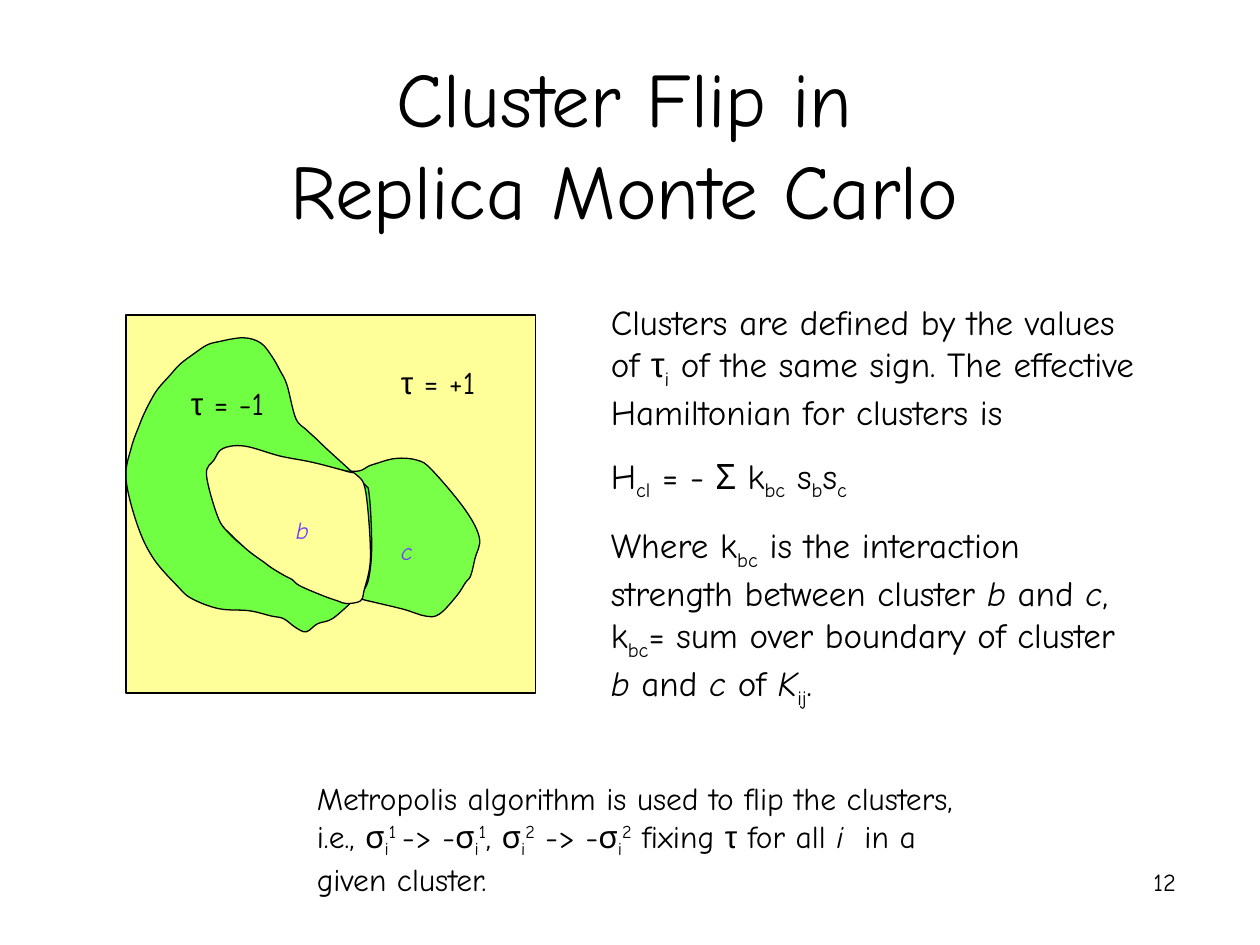
from dataclasses import dataclass

from pptx import Presentation
from pptx import util as u
from pptx.dml.color import RGBColor
from pptx.enum import shapes, text
from pptx.oxml.ns import qn
from lxml import etree

Pt = u.Pt


@dataclass(frozen=True)
class Theme:
    font: str = "Comic Neue"
    greek: str = "Arial"
    ink: str = "000000"
    pale: str = "FFFF99"
    green: str = "00FF00"
    violet: str = "703DFF"
    title: float = 44
    body: float = 20
    note: float = 18
    label: float = 24
    small: float = 14
    line: float = 0.75


T = Theme()

# Outline points of the clusters, in points
CLUSTER_C = [
    (119, 273), (132.5, 306.7), (183, 336), (205, 342), (230, 348),
    (243, 352), (251, 351), (261, 340.5), (266, 333), (269, 329),
    (271.5, 319), (274, 307.5), (266, 291.5), (247, 268.7), (238.5, 263),
    (226, 262), (212.4, 265.7), (201, 269.3), (169, 263), (139, 256),
    (127.5, 257), (124, 261.4), (120, 266.4)]
RING = [
    (124.6, 195.3), (118, 197.3), (111, 202), (103, 208), (97, 214.6),
    (90, 222.5), (85.7, 229.7), (83, 235), (80, 242), (75, 256),
    (72, 273.6), (78.5, 300), (87.6, 319), (101.5, 335), (109.5, 342),
    (125, 347.8), (142.5, 349), (155, 352), (162, 353.5), (169, 358.6),
    (175, 361), (181.5, 356.4), (190, 353.5), (201.6, 343.4), (208, 337),
    (211, 329), (212.4, 311.8), (211, 283), (207.4, 275.8), (186.5, 256.3),
    (181, 251), (175, 245.5), (169, 239), (164, 220), (160, 211.7),
    (155.5, 203.8), (149, 196), (139, 193)]
CLUSTER_B = [
    (127.4, 256.3), (122.4, 262.8), (118, 271.4), (125, 296.6), (132.5, 306),
    (137, 310.3), (141, 314), (145.5, 317.5), (150.5, 321), (155.5, 324.7),
    (162.7, 329), (167, 331.2), (171.4, 334.8), (185, 340.6), (193, 343.4),
    (198, 344.9), (206, 343.4), (208, 337.7), (211.7, 318.2), (209, 281),
    (203.8, 271.4), (198, 269.3), (178.6, 264.2), (160, 260.6), (139.7, 254.9)]


def paint(shape, fill, alpha=100):
    """Fill and outline a shape, with alpha in percent."""
    shape.shadow.inherit = False
    shape.fill.solid()
    shape.fill.fore_color.rgb = RGBColor.from_string(fill)
    shape.line.color.rgb = RGBColor.from_string(T.ink)
    shape.line.width = Pt(T.line)
    if alpha < 100:
        color = shape.fill._xPr.find(qn("a:solidFill"))[0]
        etree.SubElement(color, qn("a:alpha")).set("val", str(alpha * 1000))


def bend(shape, pts):
    """Turn the straight sides of a closed outline into smooth curves."""
    track = next(shape._element.iter(qn("a:path")))
    for side in track.findall(qn("a:lnTo")):
        track.remove(side)
    close = track.find(qn("a:close"))
    for i in range(len(pts)):
        a, b, c, d = (pts[(i + k) % len(pts)] for k in (-1, 0, 1, 2))
        curve = etree.Element(qn("a:cubicBezTo"))
        lead = [q + (r - p) / 6 for p, q, r in zip(a, b, c)]
        trail = [r - (w - q) / 6 for q, r, w in zip(b, c, d)]
        for x, y in (lead, trail, c):
            node = etree.SubElement(curve, qn("a:pt"))
            node.set("x", str(round(x - shape.left)))
            node.set("y", str(round(y - shape.top)))
        close.addprevious(curve)


def blob(slide, outline, fill, alpha=100):
    """Draw a closed smooth outline."""
    pts = [(Pt(x), Pt(y)) for x, y in outline]
    pen = slide.shapes.build_freeform(*pts[0])
    pen.add_line_segments(pts[1:], close=True)
    shape = pen.convert_to_shape()
    bend(shape, pts)
    paint(shape, fill, alpha)


def write(slide, box, *paras, size, color=T.ink, align="LEFT", anchor="TOP",
          gap=0, italic=False, base=0, grow=True):
    """Runs are split by |; they start with _ sub, ^ super, / italic, @ Greek."""
    frame = slide.shapes.add_textbox(*map(Pt, box)).text_frame
    frame.word_wrap = True
    if grow:
        frame.auto_size = text.MSO_AUTO_SIZE.SHAPE_TO_FIT_TEXT
    frame.vertical_anchor = getattr(text.MSO_ANCHOR, anchor)
    for i, line in enumerate(paras):
        para = frame.paragraphs[0] if i == 0 else frame.add_paragraph()
        para.alignment = getattr(text.PP_ALIGN, align)
        if i:
            para.space_before = Pt(gap)
        for j, part in enumerate(line.split("\n")):
            if j:
                para.add_line_break()
            for piece in part.split("|"):
                tag = piece[0] if piece[0] in "_^/@" else ""
                run = para.add_run()
                run.text = piece[len(tag):]
                font = run.font
                font.name = T.greek if tag == "@" else T.font
                font.size = Pt(size)
                font.italic = italic or tag == "/"
                font.color.rgb = RGBColor.from_string(color)
                shift = {"_": -25, "^": 30}.get(tag, base)
                if shift:
                    font._element.set("baseline", str(shift * 1000))


def main():
    deck = Presentation()
    deck.slide_width, deck.slide_height = Pt(720), Pt(540)
    slide = deck.slides.add_slide(deck.slide_layouts[6])

    # Title
    write(slide, (54, 12, 606, 126), "Cluster Flip in\nReplica Monte Carlo",
          size=T.title, align="CENTER", anchor="BOTTOM", grow=False)

    # Cluster diagram
    field = slide.shapes.add_shape(shapes.MSO_SHAPE.RECTANGLE,
                                   Pt(72), Pt(180), Pt(234), Pt(216))
    paint(field, T.pale)
    blob(slide, CLUSTER_C, T.green, 52)
    blob(slide, RING, T.green, 56)
    blob(slide, CLUSTER_B, T.pale)

    # Diagram labels
    for x, y, sign in ((222, 204, "+"), (102, 216, "-")):
        write(slide, (x, y, 60, 29), f"@τ| = {sign}1", size=T.note)
    for x, y, name in ((162, 288, "b"), (222, 300, "c")):
        write(slide, (x, y, 24, 36), name, size=T.label, color=T.violet,
              italic=True, base=30)

    # Explanation
    write(slide, (342, 168.1, 318, 241),
          "Clusters are defined by the values of |@τ|_i| of the same sign. "
          "The effective Hamiltonian for clusters is",
          "H|_cl| = - Σ k|_bc| s|_b|s|_c",
          "Where k|_bc| is the interaction strength between cluster |/b| and "
          "|/c|, k|_bc|= sum over boundary of cluster |/b| and |/c| of "
          "|/K|_ij|.",
          size=T.body, gap=12.5)

    # Algorithm note
    write(slide, (174, 441.5, 396, 75),
          "Metropolis algorithm is used to flip the clusters, i.e., "
          "σ|_i|^1 |-> -σ|_i|^1|, σ|_i|^2| -> -σ|_i|^2| fixing |@τ| for all "
          "|/i|  in a given cluster.", size=T.note)

    # Page number
    write(slide, (529, 492, 150, 36), "12", size=T.small, align="RIGHT",
          grow=False)

    deck.save("out.pptx")


if __name__ == "__main__":
    main()
